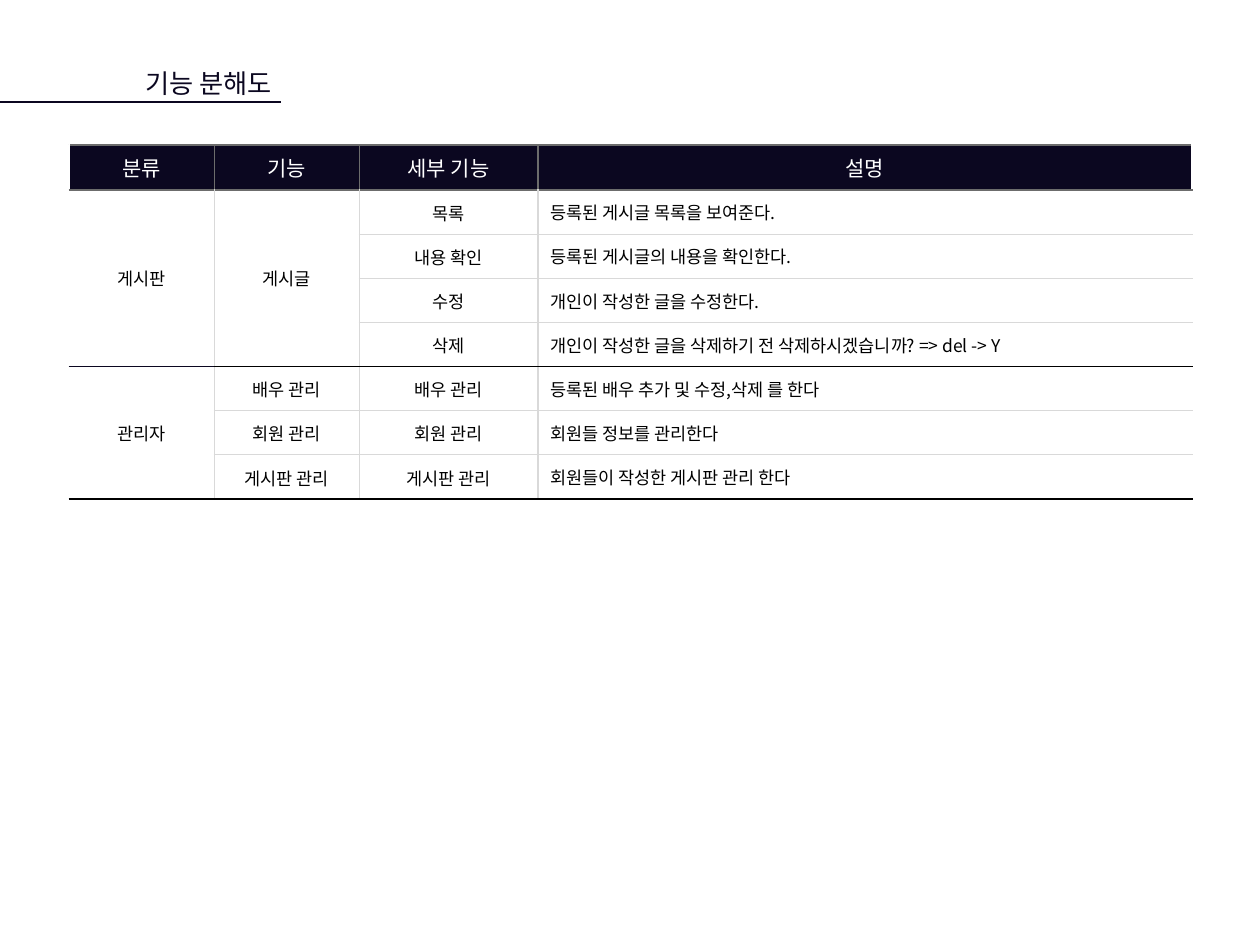
from lxml import etree
from pptx import Presentation
from pptx.dml.color import RGBColor
from pptx.enum.shapes import MSO_CONNECTOR
from pptx.enum.text import MSO_ANCHOR, MSO_AUTO_SIZE, PP_ALIGN
from pptx.oxml.ns import qn
from pptx.util import Inches, Pt

LEFT, CENTER, RIGHT = PP_ALIGN.LEFT, PP_ALIGN.CENTER, PP_ALIGN.RIGHT
TOP, MIDDLE = MSO_ANCHOR.TOP, MSO_ANCHOR.MIDDLE
STRAIGHT = MSO_CONNECTOR.STRAIGHT
FIT_TEXT = MSO_AUTO_SIZE.SHAPE_TO_FIT_TEXT
TITLE_ONLY = 5

COLORS = {
    "navy": "0B0720",
    "white": "FFFFFF",
    "black": "000000",
    "gray": "6C6C6C",
    "light": "D9D9D9",
}

# Table content: None continues the merged cell above
ROWS = [
    ["분류", "기능", "세부 기능", "설명"],
    ["게시판", "게시글", "목록", "등록된 게시글 목록을 보여준다."],
    [None, None, "내용 확인", "등록된 게시글의 내용을 확인한다."],
    [None, None, "수정", "개인이 작성한 글을 수정한다."],
    [None, None, "삭제", "개인이 작성한 글을 삭제하기 전 삭제하시겠습니까? => del -> Y"],
    ["관리자", "배우 관리", "배우 관리", "등록된 배우 추가 및 수정,삭제 를 한다"],
    [None, "회원 관리", "회원 관리", "회원들 정보를 관리한다"],
    [None, "게시판 관리", "게시판 관리", "회원들이 작성한 게시판 관리 한다"],
]
COLUMN_WIDTHS = [1.15, 1.15, 1.42, 5.19]
ROW_HEIGHTS = [0.36] + [0.35] * 7
ADMIN_ROW = 5


def horizontal_rule(boundary, column):
    """Colour and width of the line above the row with this number."""
    if boundary <= 1:
        return "gray", 1
    if boundary == ADMIN_ROW and column == 0:
        return "navy", 0.75
    if boundary in (ADMIN_ROW, len(ROWS)):
        return "black", 1
    return "light", 0.75


def last_row_of(row, column):
    """Last row of the merged cell that starts or continues here."""
    while row + 1 < len(ROWS) and ROWS[row + 1][column] is None:
        row += 1
    return row


class SlideBuilder:
    font_name = "Noto Sans CJK KR"

    def __init__(self, slide):
        self.slide = slide

    def color(self, name):
        return RGBColor.from_string(COLORS[name])

    def set_text(self, frame, text, size, color, align):
        para = frame.paragraphs[0]
        para.text = text
        para.alignment = align
        para.font.name = self.font_name
        para.font.size = Pt(size)
        para.font.color.rgb = self.color(color)
        defaults = para._p.pPr.find(qn("a:defRPr"))
        etree.SubElement(defaults, qn("a:ea"), typeface=self.font_name)
        return para

    def title(self, text, left, top, width, height):
        box = self.slide.shapes.title
        box.left, box.top = Inches(left), Inches(top)
        box.width, box.height = Inches(width), Inches(height)
        frame = box.text_frame
        frame.word_wrap = True
        frame.auto_size = FIT_TEXT
        frame.vertical_anchor = TOP
        para = self.set_text(frame, text, 15, "navy", RIGHT)
        para.line_spacing = 1.5

    def line(self, x1, y1, x2, y2, color, width):
        rule = self.slide.shapes.add_connector(
            STRAIGHT, Inches(x1), Inches(y1), Inches(x2), Inches(y2))
        rule.line.color.rgb = self.color(color)
        rule.line.width = Pt(width)
        etree.SubElement(rule._element.spPr, qn("a:effectLst"))

    def border(self, cell, side, color, width):
        edge = etree.SubElement(cell._tc.get_or_add_tcPr(), qn(f"a:ln{side}"),
                                w=str(Pt(width)))
        fill = etree.SubElement(edge, qn("a:solidFill"))
        etree.SubElement(fill, qn("a:srgbClr"), val=COLORS[color])

    def cell_borders(self, cell, row, column):
        last = last_row_of(row, column)
        is_start = ROWS[row][column] is not None
        vertical = "gray" if row == 0 else "light"
        if column > 0:
            self.border(cell, "L", vertical, 0.75)
        if column < len(COLUMN_WIDTHS) - 1:
            self.border(cell, "R", vertical, 0.75)
        if is_start:
            self.border(cell, "T", *horizontal_rule(row, column))
        if is_start or row == last:
            self.border(cell, "B", *horizontal_rule(last + 1, column))

    def cell(self, table, row, column):
        cell = table.cell(row, column)
        text = ROWS[row][column]
        last = last_row_of(row, column)
        is_header = row == 0
        self.cell_borders(cell, row, column)
        if is_header:
            cell.fill.solid()
            cell.fill.fore_color.rgb = self.color("navy")
        else:
            cell.fill.background()
        if text is None:
            return
        cell.vertical_anchor = MIDDLE
        is_description = column == len(COLUMN_WIDTHS) - 1
        if not (is_header or is_description or last > row):
            cell.margin_left = cell.margin_right = cell.margin_top = Inches(0.01)
            cell.margin_bottom = 0
        self.set_text(cell.text_frame, text, 12 if is_header else 10,
                      "white" if is_header else "black",
                      LEFT if is_description and not is_header else CENTER)
        if last > row:
            cell.merge(table.cell(last, column))

    def table(self, left, top):
        frame = self.slide.shapes.add_table(
            len(ROWS), len(COLUMN_WIDTHS), Inches(left), Inches(top),
            Inches(sum(COLUMN_WIDTHS)), Inches(sum(ROW_HEIGHTS)))
        table = frame.table
        table.first_row = False
        table.horz_banding = False
        for column, width in zip(table.columns, COLUMN_WIDTHS):
            column.width = Inches(width)
        for row, height in zip(table.rows, ROW_HEIGHTS):
            row.height = Inches(height)
        for row in range(len(ROWS)):
            for column in range(len(COLUMN_WIDTHS)):
                self.cell(table, row, column)


def main():
    deck = Presentation()
    deck.slide_width, deck.slide_height = Inches(10), Inches(7.5)
    page = SlideBuilder(deck.slides.add_slide(deck.slide_layouts[TITLE_ONLY]))

    # Heading with its underline
    page.line(0, 0.81, 2.23, 0.81, "navy", 1.5)
    page.title("기능 분해도", 0.78, 0.36, 1.48, 0.44)

    # Function breakdown
    page.table(0.55, 1.15)

    deck.save("out.pptx")


if __name__ == "__main__":
    main()
